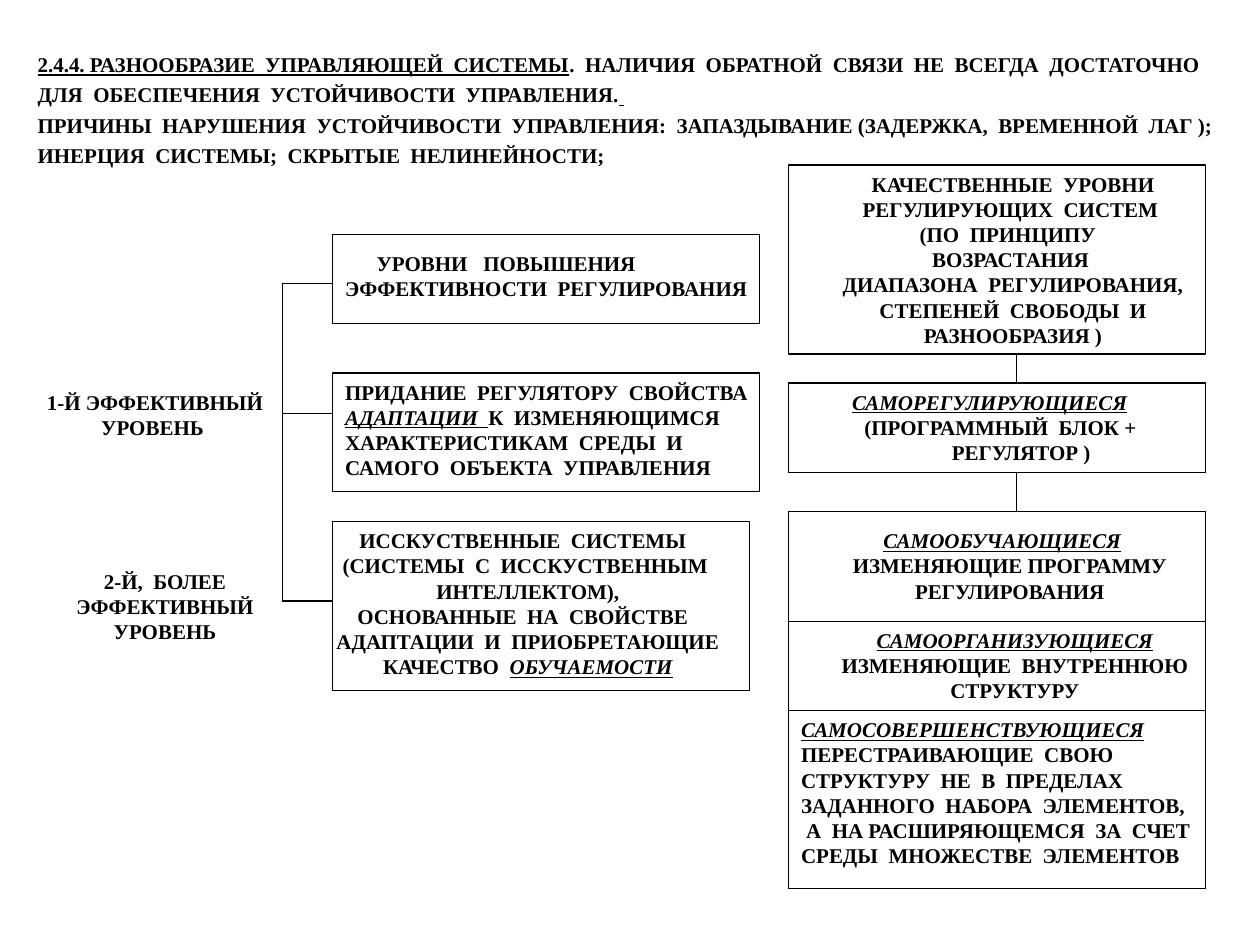
from pptx import Presentation
from pptx.dml.color import RGBColor
from pptx.enum.shapes import MSO_CONNECTOR, MSO_SHAPE
from pptx.enum.text import PP_ALIGN
from pptx.oxml.ns import qn
from pptx.util import Inches, Pt

LEFT, CENTER = PP_ALIGN.LEFT, PP_ALIGN.CENTER
RECTANGLE, STRAIGHT = MSO_SHAPE.RECTANGLE, MSO_CONNECTOR.STRAIGHT
FONT, INK = "Times New Roman", "000000"


def line(*runs, left=0, right=0):
    """One paragraph: plain strings or (text, style) runs, with side indents."""
    return runs, left, right


def term(text):
    return text, "iu"


# Columns and rows of the diagram, in inches
BRACE_X, METHOD_X, LEVEL_X, LEVEL_W = 2.24, 2.64, 6.26, 3.31
LEVEL_END = LEVEL_X + LEVEL_W
LINK_X = 8.07
BRANCH_ROWS = [2.25, 3.28, 4.77]
LEVEL_DIVIDERS = [4.93, 5.64]

# Frames: left, top, width, height
METHOD_FRAMES = [
    (METHOD_X, 1.86, 3.39, 0.71),
    (METHOD_X, 2.96, 3.39, 0.94),
    (METHOD_X, 4.14, 3.31, 1.34),
]
LEVEL_FRAMES = [
    (LEVEL_X, 1.31, LEVEL_W, 1.5),
    (LEVEL_X, 3.04, LEVEL_W, 0.71),
    (LEVEL_X, 4.06, LEVEL_W, 2.99),
]

HEADING = [
    line(("2.4.4. РАЗНООБРАЗИЕ  УПРАВЛЯЮЩЕЙ  СИСТЕМЫ", "u"),
         ".  НАЛИЧИЯ  ОБРАТНОЙ  СВЯЗИ  НЕ  ВСЕГДА  ДОСТАТОЧНО"),
    line("ДЛЯ  ОБЕСПЕЧЕНИЯ  УСТОЙЧИВОСТИ  УПРАВЛЕНИЯ.", (" ", "u")),
    line("ПРИЧИНЫ  НАРУШЕНИЯ  УСТОЙЧИВОСТИ  УПРАВЛЕНИЯ:  "
         "ЗАПАЗДЫВАНИЕ (ЗАДЕРЖКА,  ВРЕМЕННОЙ  ЛАГ );"),
    line("ИНЕРЦИЯ  СИСТЕМЫ;  СКРЫТЫЕ  НЕЛИНЕЙНОСТИ;"),
]

# Texts: box, alignment, paragraphs
TEXTS = [
    ((METHOD_X, 1.94, 3.42, 0.5), LEFT, [
        line("УРОВНИ   ПОВЫШЕНИЯ", left=0.25),
        line("ЭФФЕКТИВНОСТИ  РЕГУЛИРОВАНИЯ"),
    ]),
    ((METHOD_X, 2.96, 3.44, 0.9), LEFT, [
        line("ПРИДАНИЕ  РЕГУЛЯТОРУ  СВОЙСТВА"),
        line(term("АДАПТАЦИИ  "), "К  ИЗМЕНЯЮЩИМСЯ"),
        line("ХАРАКТЕРИСТИКАМ  СРЕДЫ  И"),
        line("САМОГО  ОБЪЕКТА  УПРАВЛЕНИЯ"),
    ]),
    ((2.56, 4.14, 3.26, 1.3), CENTER, [
        line("ИССКУСТВЕННЫЕ  СИСТЕМЫ", right=0.08),
        line("(СИСТЕМЫ  С  ИССКУСТВЕННЫМ", right=0.04),
        line("ИНТЕЛЛЕКТОМ),"),
        line("ОСНОВАННЫЕ  НА  СВОЙСТВЕ", right=0.08),
        line("АДАПТАЦИИ  И  ПРИОБРЕТАЮЩИЕ"),
        line("КАЧЕСТВО  ", term("ОБУЧАЕМОСТИ")),
    ]),
    ((0.27, 3.04, 1.92, 0.5), CENTER, [
        line("1-Й ЭФФЕКТИВНЫЙ"),
        line("УРОВЕНЬ", right=0.04),
    ]),
    ((0.41, 4.46, 1.8, 0.7), CENTER, [
        line("2-Й,  БОЛЕЕ"),
        line("ЭФФЕКТИВНЫЙ"),
        line("УРОВЕНЬ"),
    ]),
    ((6.57, 1.31, 2.94, 1.3), CENTER, [
        line("КАЧЕСТВЕННЫЕ  УРОВНИ"),
        line("РЕГУЛИРУЮЩИХ  СИСТЕМ", right=0.04),
        line("(ПО  ПРИНЦИПУ  ВОЗРАСТАНИЯ", right=0.04),
        line("ДИАПАЗОНА  РЕГУЛИРОВАНИЯ,  СТЕПЕНЕЙ  СВОБОДЫ  И  РАЗНООБРАЗИЯ )"),
    ]),
    ((6.48, 3.04, 2.75, 0.7), CENTER, [
        line(term("САМОРЕГУЛИРУЮЩИЕСЯ")),
        line("(ПРОГРАММНЫЙ  БЛОК +", left=0.17),
        line("РЕГУЛЯТОР )", left=0.5),
    ]),
    ((6.61, 4.14, 2.81, 0.7), CENTER, [
        line(term("САМООБУЧАЮЩИЕСЯ"), right=0.12),
        line("ИЗМЕНЯЮЩИЕ ПРОГРАММУ"),
        line("РЕГУЛИРОВАНИЯ"),
    ]),
    ((6.48, 4.93, 3.15, 0.7), CENTER, [
        line(term("САМООРГАНИЗУЮЩИЕСЯ")),
        line("ИЗМЕНЯЮЩИЕ  ВНУТРЕННЮЮ"),
        line("СТРУКТУРУ"),
    ]),
    ((LEVEL_X, 5.64, 3.33, 1.3), LEFT, [
        line(term("САМОСОВЕРШЕНСТВУЮЩИЕСЯ")),
        line("ПЕРЕСТРАИВАЮЩИЕ  СВОЮ"),
        line("СТРУКТУРУ  НЕ  В  ПРЕДЕЛАХ"),
        line("ЗАДАННОГО  НАБОРА  ЭЛЕМЕНТОВ,"),
        line("А  НА РАСШИРЯЮЩЕМСЯ  ЗА  СЧЕТ", left=0.04),
        line("СРЕДЫ  МНОЖЕСТВЕ  ЭЛЕМЕНТОВ"),
    ]),
]


def color(value):
    return RGBColor.from_string(value)


def set_outline(outline):
    outline.color.rgb = color(INK)
    outline.width = Pt(0.75)


def add_frame(slide, box):
    frame = slide.shapes.add_shape(RECTANGLE, *map(Inches, box))
    frame.shadow.inherit = False
    frame.fill.background()
    set_outline(frame.line)


def add_line(slide, *ends):
    link = slide.shapes.add_connector(STRAIGHT, *map(Inches, ends))
    set_outline(link.line)
    properties = link._element.spPr
    properties.append(properties.makeelement(qn("a:effectLst"), {}))


def add_text(slide, box, align, lines, gap=0):
    text = slide.shapes.add_textbox(*map(Inches, box)).text_frame
    text.word_wrap = True
    for index, (runs, left, right) in enumerate(lines):
        paragraph = text.add_paragraph() if index else text.paragraphs[0]
        paragraph.alignment = align
        paragraph.space_before = Pt(gap if index else 0)
        indents = paragraph._p.get_or_add_pPr()
        indents.set("marL", str(Inches(left)))
        indents.set("marR", str(Inches(right)))
        font = paragraph.font
        font.name, font.size, font.bold = FONT, Pt(12), True
        font.color.rgb = color(INK)
        for item in runs:
            wording, style = (item, "") if isinstance(item, str) else item
            run = paragraph.add_run()
            run.text = wording
            if "u" in style:
                run.font.underline = True
            if "i" in style:
                run.font.italic = True


def main():
    deck = Presentation()
    deck.slide_width, deck.slide_height = Inches(10), Inches(7.5)
    slide = deck.slides.add_slide(deck.slide_layouts[6])

    # Frames of both columns
    for box in METHOD_FRAMES + LEVEL_FRAMES:
        add_frame(slide, box)

    # Brace joining the methods
    add_line(slide, BRACE_X, BRANCH_ROWS[0], BRACE_X, BRANCH_ROWS[-1])
    for y in BRANCH_ROWS:
        add_line(slide, BRACE_X, y, METHOD_X, y)

    # Links between level frames, dividers inside the last one
    for upper, lower in zip(LEVEL_FRAMES, LEVEL_FRAMES[1:]):
        add_line(slide, LINK_X, upper[1] + upper[3], LINK_X, lower[1])
    for y in LEVEL_DIVIDERS:
        add_line(slide, LEVEL_X, y, LEVEL_END, y)

    # Wording
    add_text(slide, (0.2, 0.36, 9.61, 1), LEFT, HEADING, gap=3)
    for box, align, lines in TEXTS:
        add_text(slide, box, align, lines)

    deck.save("out.pptx")


if __name__ == "__main__":
    main()
